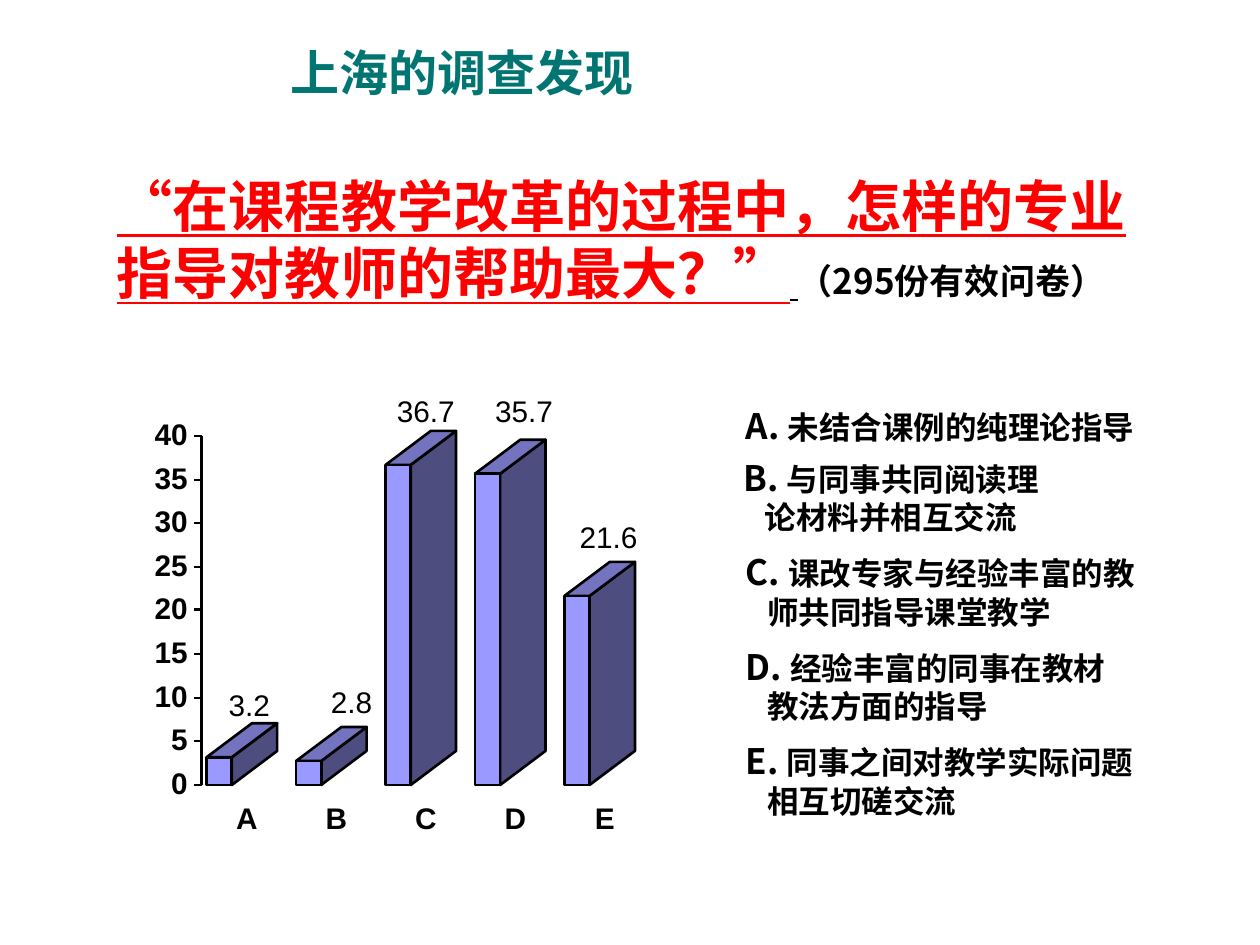
"""Build a slide with survey results as a drawn oblique bar chart and its key."""
import lxml.etree
import pptx
import pptx.dml.color
import pptx.enum.shapes
import pptx.enum.text
import pptx.oxml.ns
import pptx.util

HAN = "Noto Sans CJK SC"
BLACK = "000000"
ALIGN = pptx.enum.text.PP_ALIGN
ANCHOR = pptx.enum.text.MSO_ANCHOR
AUTO_SIZE = pptx.enum.text.MSO_AUTO_SIZE


def colour(code):
    return pptx.dml.color.RGBColor.from_string(code)


def write(paragraph, text, size=18, font=HAN, color=BLACK, bold=True, underline=False):
    run = paragraph.add_run()
    run.text = text
    run.font.size = pptx.util.Pt(size)
    run.font.bold = bold
    run.font.underline = underline
    run.font.color.rgb = colour(color)
    run.font.name = font
    latin = run.font._element.find(pptx.oxml.ns.qn("a:latin"))
    east_asian = lxml.etree.Element(pptx.oxml.ns.qn("a:ea"), typeface=font)
    latin.addnext(east_asian)


presentation = pptx.Presentation()
presentation.slide_width = pptx.util.Inches(10)
presentation.slide_height = pptx.util.Inches(7.5)
column = presentation.slide_width // 1000
row = presentation.slide_height // 750
slide = presentation.slides.add_slide(presentation.slide_layouts[5])
shapes = slide.shapes

title = shapes.title
title.left, title.top = 130 * column, 29 * row
title.width, title.height = 473 * column, 57 * row
title.text_frame.auto_size = AUTO_SIZE.NONE
title.text_frame.vertical_anchor = ANCHOR.TOP
title.text_frame.paragraphs[0].alignment = ALIGN.CENTER
write(title.text_frame.paragraphs[0], "上海的调查发现", size=28, color="007572")

question = shapes.add_textbox(83 * column, 131 * row, 835 * column, 117 * row)
question.text_frame.word_wrap = True
question.text_frame.vertical_anchor = ANCHOR.MIDDLE
paragraph = question.text_frame.paragraphs[0]
write(paragraph, "“在课程教学改革的过程中，怎样的专业指导对教师的帮助最大？”",
      size=32, color="FF0000", underline=True)
write(paragraph, " ", size=20, underline=True)
write(paragraph, "（295份有效问卷）", size=20)

base, axis_top, axis_left, axis_maximum, tick_step = 623, 346, 160, 40, 5
bar_left, bar_gap, bar_width, depth_x, depth_y = 164, 71, 20, 36, 27
scale = (base - axis_top) / axis_maximum

labels = []
axis_lines = [(axis_left, base, axis_left, axis_top)]
for value in range(0, axis_maximum + 1, tick_step):
    level = round(base - value * scale)
    axis_lines.append((axis_left, level, axis_left - 6, level))
    labels.append((str(value), 109, level - 16, 40, ALIGN.RIGHT, True))

for start_x, start_y, end_x, end_y in axis_lines:
    line = shapes.add_connector(
        pptx.enum.shapes.MSO_CONNECTOR.STRAIGHT,
        start_x * column, start_y * row, end_x * column, end_y * row)
    line.line.color.rgb = colour(BLACK)
    line.line.width = pptx.util.Pt(1.5)
    lxml.etree.SubElement(line._element.spPr, pptx.oxml.ns.qn("a:effectLst"))

bars = [("A", 3.2, 198, 545), ("B", 2.8, 279, 543), ("C", 36.7, 338, 312),
        ("D", 35.7, 416, 312), ("E", 21.6, 483, 412)]
for index, (category, value, label_center, label_top) in enumerate(bars):
    left = bar_left + index * bar_gap
    right = left + bar_width
    top = round(base - value * scale)
    side = [(right, base), (right, top),
            (right + depth_x, top - depth_y), (right + depth_x, base - depth_y)]
    lid = [(right, top), (right + depth_x, top - depth_y),
           (left + depth_x, top - depth_y), (left, top)]
    faces = []
    for outline, fill in [(side, "4D4D80"), (lid, "7373BF")]:
        points = [(x * column, y * row) for x, y in outline]
        builder = shapes.build_freeform(*points[0])
        builder.add_line_segments(points[1:], close=True)
        faces.append((builder.convert_to_shape(), fill))
    front = shapes.add_shape(
        pptx.enum.shapes.MSO_SHAPE.RECTANGLE,
        left * column, top * row, bar_width * column, (base - top) * row)
    faces.append((front, "9999FF"))
    for shape, fill in faces:
        shape.shadow.inherit = False
        shape.fill.solid()
        shape.fill.fore_color.rgb = colour(fill)
        shape.line.color.rgb = colour(BLACK)
        shape.line.width = pptx.util.Pt(1.5)
    labels.append((str(value), label_center - 30, label_top, 60, ALIGN.CENTER, False))
    labels.append((category, left + 22, 635, 20, ALIGN.CENTER, True))

for text, left, top, width, alignment, bold in labels:
    box = shapes.add_textbox(left * column, top * row, width * column, 28 * row)
    frame = box.text_frame
    frame.margin_left = frame.margin_right = frame.margin_top = frame.margin_bottom = 0
    frame.word_wrap = True
    frame.paragraphs[0].alignment = alignment
    write(frame.paragraphs[0], text, size=17, font="Arial", bold=bold)

options = [
    ("A. ", 592, 321, ["未结合课例的纯理论指导"]),
    ("B. ", 590, 362, ["与同事共同阅读理", "论材料并相互交流"]),
    ("C. ", 592, 437, ["课改专家与经验丰富的教", "师共同指导课堂教学"]),
    ("D. ", 592, 512, ["经验丰富的同事在教材", "教法方面的指导"]),
    ("E. ", 592, 587, ["同事之间对教学实际问题", "相互切磋交流"]),
]
for letter, left, top, lines in options:
    box = shapes.add_textbox(
        left * column, top * row, 332 * column, (33 + 30 * (len(lines) - 1)) * row)
    frame = box.text_frame
    frame.margin_left = frame.margin_right = frame.margin_top = frame.margin_bottom = 0
    frame.word_wrap = True
    write(frame.paragraphs[0], letter, size=20)
    write(frame.paragraphs[0], lines[0])
    for text in lines[1:]:
        paragraph = frame.add_paragraph()
        paragraph._p.get_or_add_pPr().set("marL", str(17 * column))
        write(paragraph, text)

presentation.save("out.pptx")
